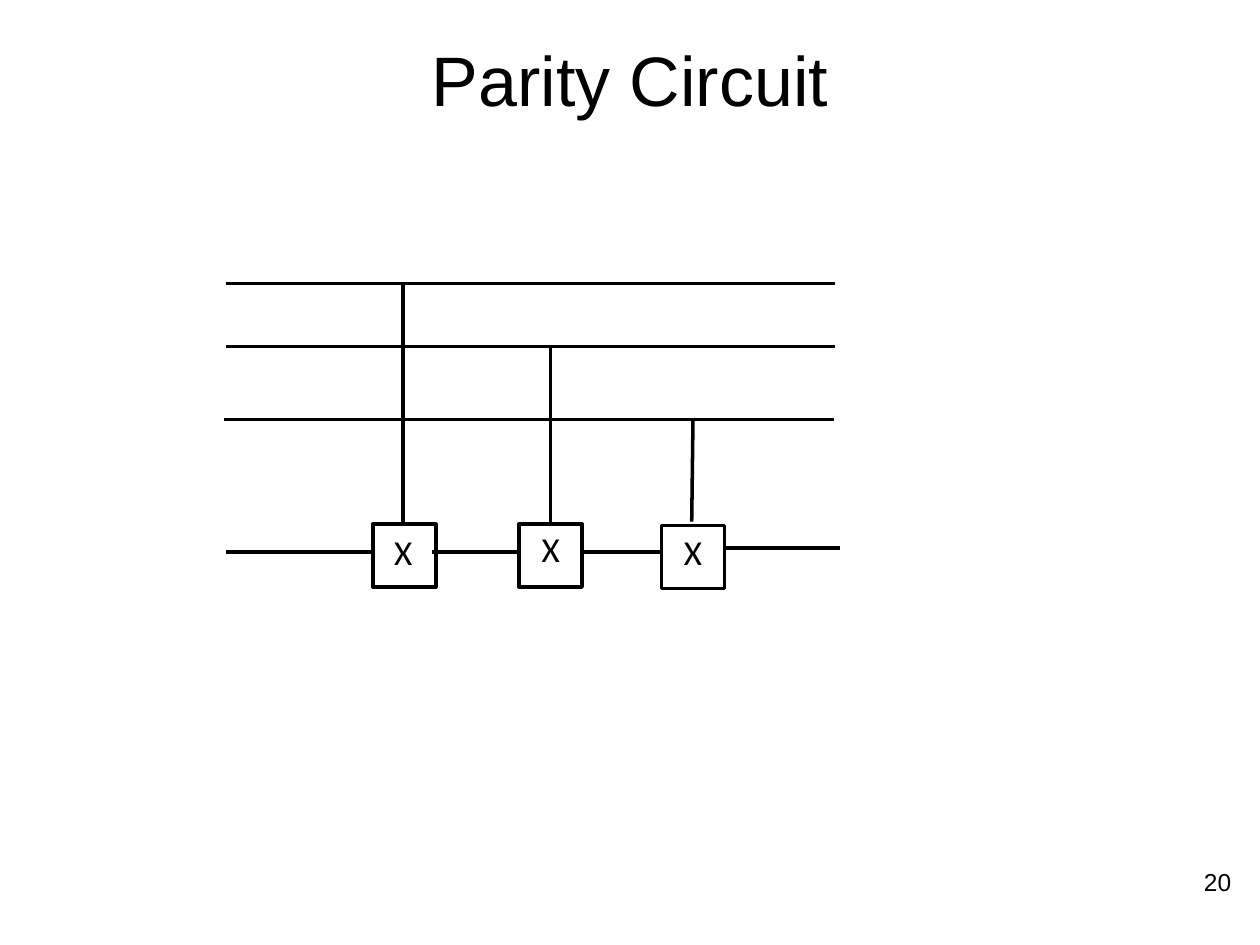
from lxml import etree
from pptx import Presentation
from pptx.dml.color import RGBColor
from pptx.enum.shapes import MSO_CONNECTOR, MSO_SHAPE
from pptx.enum.text import MSO_ANCHOR, PP_ALIGN
from pptx.oxml.ns import qn
from pptx.util import Inches, Pt

STRAIGHT = MSO_CONNECTOR.STRAIGHT
RECT = MSO_SHAPE.RECTANGLE
TOP, MIDDLE = MSO_ANCHOR.TOP, MSO_ANCHOR.MIDDLE
CENTER, RIGHT = PP_ALIGN.CENTER, PP_ALIGN.RIGHT
COLORS = {"ink": "000000", "paper": "FFFFFF"}
INK = RGBColor.from_string(COLORS["ink"])
GATE = 0.5


def add_text(text, x, y, w, h, size, font, align, anchor=TOP):
    tf = s.shapes.add_textbox(Inches(x), Inches(y), Inches(w), Inches(h)).text_frame
    tf.word_wrap = True
    tf.vertical_anchor = anchor
    p = tf.paragraphs[0]
    p.alignment = align
    r = p.add_run()
    r.text = text
    r.font.size = Pt(size)
    r.font.name = font
    r.font.color.rgb = INK


def add_line(x1, y1, x2, y2):
    ln = s.shapes.add_connector(STRAIGHT, Inches(x1), Inches(y1), Inches(x2), Inches(y2))
    ln.line.color.rgb = INK
    ln.line.width = Pt(2)
    etree.SubElement(ln._element.spPr, qn("a:effectLst"))


prs = Presentation()
prs.slide_width, prs.slide_height = Inches(10), Inches(7.5)
s = prs.slides.add_slide(prs.slide_layouts[6])
s.background.fill.solid()
s.background.fill.fore_color.rgb = RGBColor.from_string(COLORS["paper"])

add_text("Parity Circuit", 0.75, 0.25, 8.5, 0.75, 40, "Arial", CENTER, MIDDLE)
add_text("20", 7.79, 6.83, 2.08, 0.5, 14, "Arial", RIGHT)

# Input wires
for x1, x2, y in [(1.79, 6.63, 2.25), (1.79, 6.63, 2.75), (1.78, 6.62, 3.33)]:
    add_line(x1, y, x2, y)

# Target wire, in segments between the gates
for x1, x2, y in [(1.79, 2.95, 4.38), (3.43, 4.12, 4.38), (4.62, 5.25, 4.38), (5.74, 6.67, 4.35)]:
    add_line(x1, y, x2, y)

# Controls from each input wire down to its gate
for x1, y1, x2, y2 in [(3.2, 2.25, 3.2, 4.16), (4.37, 2.76, 4.37, 4.17), (5.5, 3.33, 5.49, 4.14)]:
    add_line(x1, y1, x2, y2)

# X gates: box left, box top, label left, label top
for x, y, label_x, label_y in [(2.96, 4.16, 2.95, 4.16), (4.12, 4.16, 4.12, 4.14), (5.25, 4.17, 5.25, 4.16)]:
    sp = s.shapes.add_shape(RECT, Inches(x), Inches(y), Inches(GATE), Inches(GATE))
    sp.shadow.inherit = False
    sp.fill.background()
    sp.line.color.rgb = INK
    sp.line.width = Pt(2)
    add_text("X", label_x, label_y, GATE, 0.44, 20, "Calibri", CENTER)

prs.save("out.pptx")
